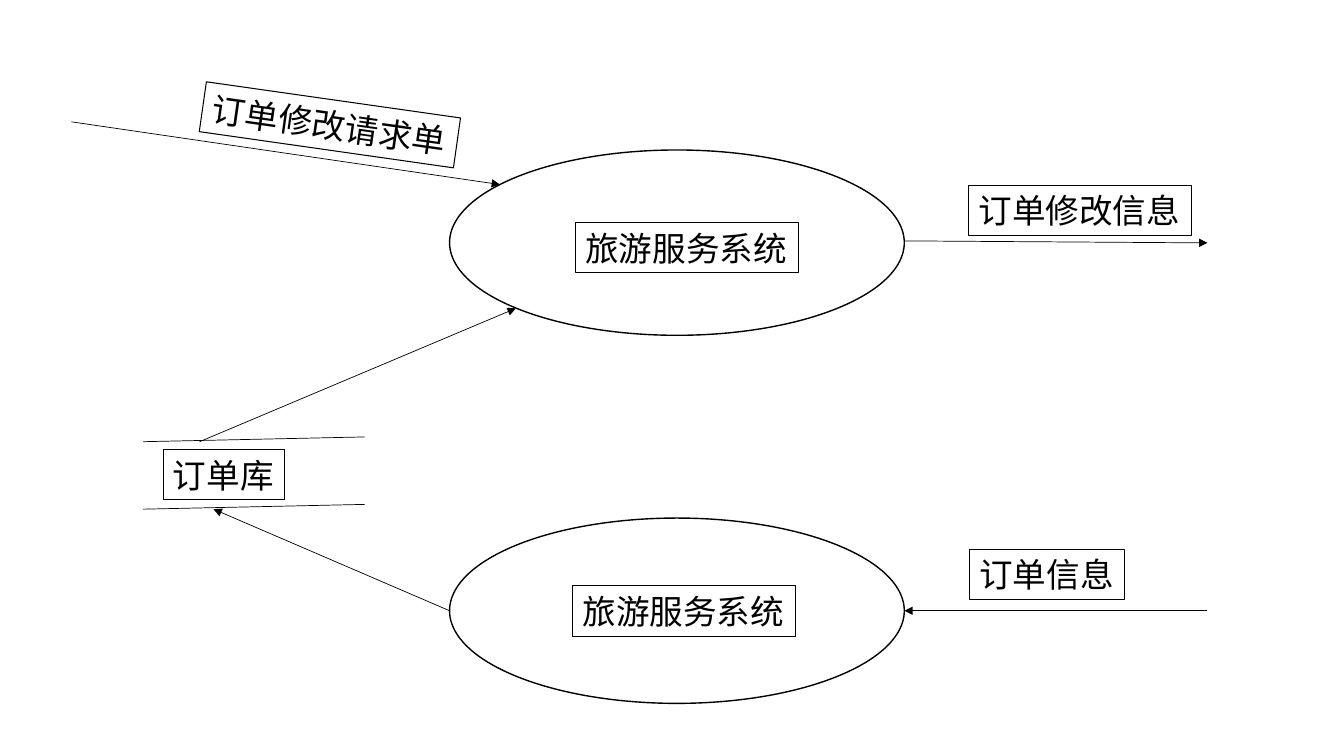
import pptx
import pptx.util
import pptx.dml.color
import pptx.enum.shapes
import pptx.enum.text
import pptx.oxml.ns
from lxml import etree

Cm = pptx.util.Cm
Pt = pptx.util.Pt


def color(hex_value):
    return pptx.dml.color.RGBColor.from_string(hex_value)


def add_xml(parent, tag, **attributes):
    return etree.SubElement(parent, pptx.oxml.ns.qn(tag), attributes)


def apply_format(target, values):
    for name, value in values.items():
        setattr(target, name, value)


class FlowDiagram:
    ink = "000000"
    font_name = "Noto Sans CJK SC"
    text_size = 24
    char_width = 0.85
    label_padding = 0.52
    label_height = 1.27

    def __init__(self, slide):
        self.shapes = slide.shapes

    def outline(self, shape, width):
        shape.line.width = Pt(width)
        shape.line.color.rgb = color(self.ink)

    def outlined(self, preset, left, top, width, height, line_width):
        shape = self.shapes.add_shape(preset, Cm(left), Cm(top), Cm(width), Cm(height))
        shape.shadow.inherit = False
        shape.fill.background()
        self.outline(shape, line_width)
        return shape

    def process(self, left, top, width, height):
        self.outlined(pptx.enum.shapes.MSO_SHAPE.OVAL, left, top, width, height, 1)

    def line(self, start, end, arrow=False):
        connector = self.shapes.add_connector(
            pptx.enum.shapes.MSO_CONNECTOR.STRAIGHT, *map(Cm, start + end))
        self.outline(connector, 0.5)
        if arrow:
            add_xml(connector.line._get_or_add_ln(), "a:tailEnd", type="triangle")
        add_xml(connector._element.spPr, "a:effectLst")

    def label(self, text, left, top, rotation=0):
        width = len(text) * self.char_width + self.label_padding
        box = self.outlined(pptx.enum.shapes.MSO_SHAPE.RECTANGLE,
                            left, top, width, self.label_height, 0.75)
        box.rotation = rotation
        apply_format(box.text_frame, {
            "word_wrap": False,
            "auto_size": pptx.enum.text.MSO_AUTO_SIZE.SHAPE_TO_FIT_TEXT,
            "vertical_anchor": pptx.enum.text.MSO_ANCHOR.TOP,
        })
        paragraph = box.text_frame.paragraphs[0]
        paragraph.alignment = pptx.enum.text.PP_ALIGN.LEFT
        run = paragraph.add_run()
        run.text = text
        apply_format(run.font, {"name": self.font_name, "size": Pt(self.text_size)})
        run.font.color.rgb = color(self.ink)
        add_xml(run.font._element, "a:ea", typeface=self.font_name)


def main():
    deck = pptx.Presentation()
    apply_format(deck, {"slide_width": Cm(33.87), "slide_height": Cm(19.05)})
    diagram = FlowDiagram(deck.slides.add_slide(deck.slide_layouts[6]))

    process_left, process_width, process_height = 11.33, 11.46, 4.67
    process_right = process_left + process_width
    store_top, store_bottom, flow_right, order_y = 11.13, 12.83, 30.43, 15.39

    for process_top in (order_y - process_height / 2, 3.78):
        diagram.process(process_left, process_top, process_width, process_height)

    for store_y in (store_top, store_bottom):
        diagram.line((3.61, store_y), (9.19, store_y - 0.12))

    flows = [
        ((1.8, 3.07), (12.6, 4.65)),
        ((5.03, store_top), (13, 7.77)),
        ((process_left, order_y), (5.38, store_bottom)),
        ((process_right, 6.07), (flow_right, 6.12)),
        ((flow_right, order_y), (process_right, order_y)),
    ]
    for start, end in flows:
        diagram.line(start, end, arrow=True)

    labels = [
        ("旅游服务系统", 14.5, 5.61),
        ("旅游服务系统", 14.43, 14.76),
        ("订单库", 4.11, 11.33),
        ("订单修改信息", 24.41, 4.67),
        ("订单信息", 24.43, 13.84),
        ("订单修改请求单", 5.08, 2.51, 8.1),
    ]
    for label in labels:
        diagram.label(*label)

    deck.save("out.pptx")


if __name__ == "__main__":
    main()
